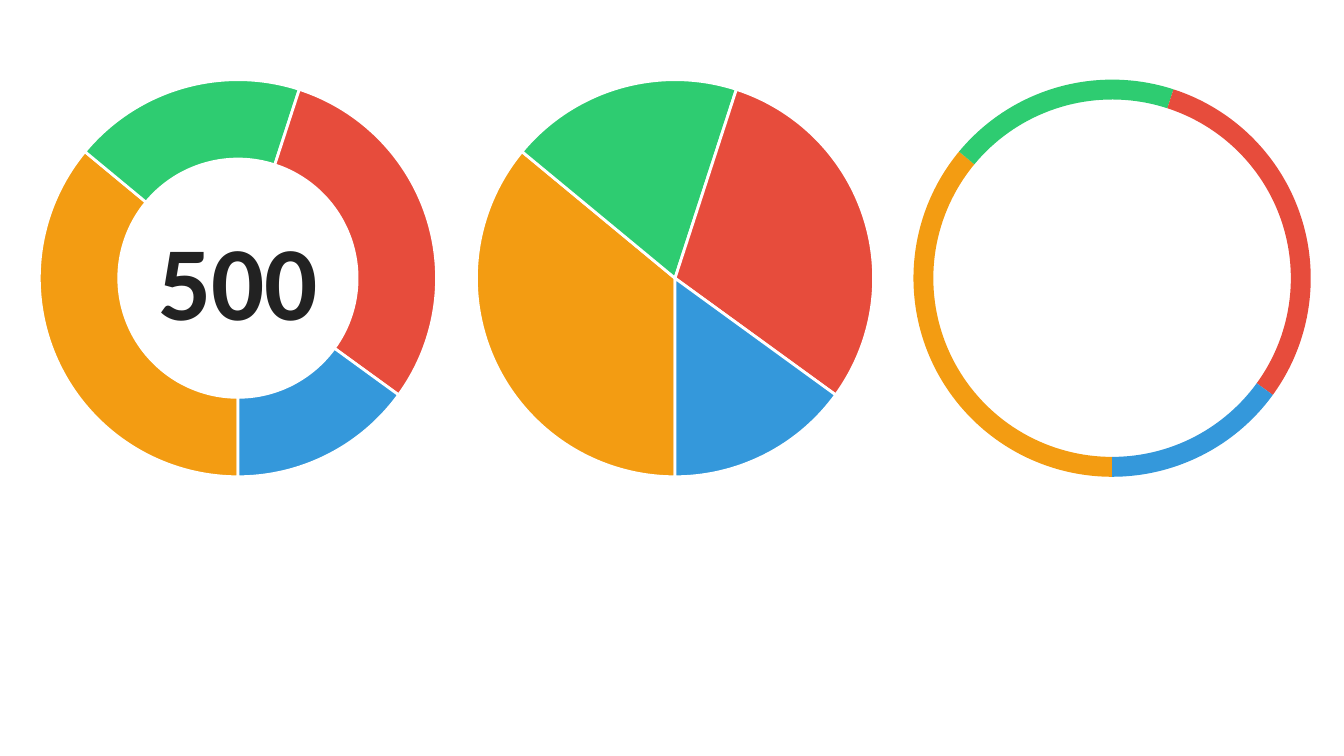
import pptx
import pptx.dml.color
import pptx.enum.shapes
import pptx.enum.text
import pptx.util

RGBColor = pptx.dml.color.RGBColor
Inches = pptx.util.Inches
Pt = pptx.util.Pt
MSO_SHAPE = pptx.enum.shapes.MSO_SHAPE

WHITE = RGBColor(0xFF, 0xFF, 0xFF)
INK = RGBColor(0x22, 0x22, 0x22)
ORANGE = RGBColor(0xF3, 0x9C, 0x12)
GREEN = RGBColor(0x2E, 0xCC, 0x71)
RED = RGBColor(0xE7, 0x4C, 0x3C)
BLUE = RGBColor(0x34, 0x98, 0xDB)

SHARES = [(36, ORANGE), (19, GREEN), (30, RED), (15, BLUE)]  # percent
START_ANGLE = 90
DIAMETER = Inches(3.94)
TOP = Inches(0.79)
FIRST_LEFT = 0.39
PITCH = 4.335

# Adjustments are given in units of 100000; angles are stored as 60000 per degree
ANGLE_UNIT = 60000 / 100000


def add_slice(dial, kind, left, start, sweep, color, thickness, outlined):
    """Add one sector, swept clockwise from start (degrees)."""
    sector = dial.shapes.add_shape(kind, left, TOP, DIAMETER, DIAMETER)
    sector.shadow.inherit = False
    sector.adjustments[0] = 0
    sector.adjustments[1] = sweep * ANGLE_UNIT
    if thickness is not None:
        sector.adjustments[2] = thickness
    sector.rotation = start % 360
    sector.fill.solid()
    sector.fill.fore_color.rgb = color
    if outlined:
        sector.line.color.rgb = WHITE
        sector.line.width = Pt(2)
    else:
        sector.line.fill.background()


def add_dial(slide, left, kind, thickness=None, outlined=True):
    """Add a grouped circle of sectors, one per share, and return the group."""
    dial = slide.shapes.add_group_shape()
    start = START_ANGLE
    for share, color in SHARES:
        sweep = share * 3.6
        add_slice(dial, kind, left, start, sweep, color, thickness, outlined)
        start += sweep
    return dial


def add_total(dial, left, text):
    total = dial.shapes.add_textbox(left, TOP, DIAMETER, DIAMETER)
    frame = total.text_frame
    frame.word_wrap = True
    frame.vertical_anchor = pptx.enum.text.MSO_ANCHOR.MIDDLE
    frame.margin_left = frame.margin_right = 0
    frame.margin_top = frame.margin_bottom = 0
    paragraph = frame.paragraphs[0]
    paragraph.alignment = pptx.enum.text.PP_ALIGN.CENTER
    run = paragraph.add_run()
    run.text = text
    run.font.name = "Calibri"
    run.font.size = Pt(75)
    run.font.bold = True
    run.font.color.rgb = INK


def main():
    deck = pptx.Presentation()
    deck.slide_width = Inches(13.33)
    deck.slide_height = Inches(7.5)
    slide = deck.slides.add_slide(deck.slide_layouts[6])

    donut_left, pie_left, ring_left = (
        Inches(FIRST_LEFT + column * PITCH) for column in range(3)
    )
    donut = add_dial(slide, donut_left, MSO_SHAPE.BLOCK_ARC, thickness=0.2)
    add_total(donut, donut_left, "500")
    add_dial(slide, pie_left, MSO_SHAPE.PIE)
    add_dial(slide, ring_left, MSO_SHAPE.BLOCK_ARC, thickness=0.05, outlined=False)

    deck.save("out.pptx")


if __name__ == "__main__":
    main()
